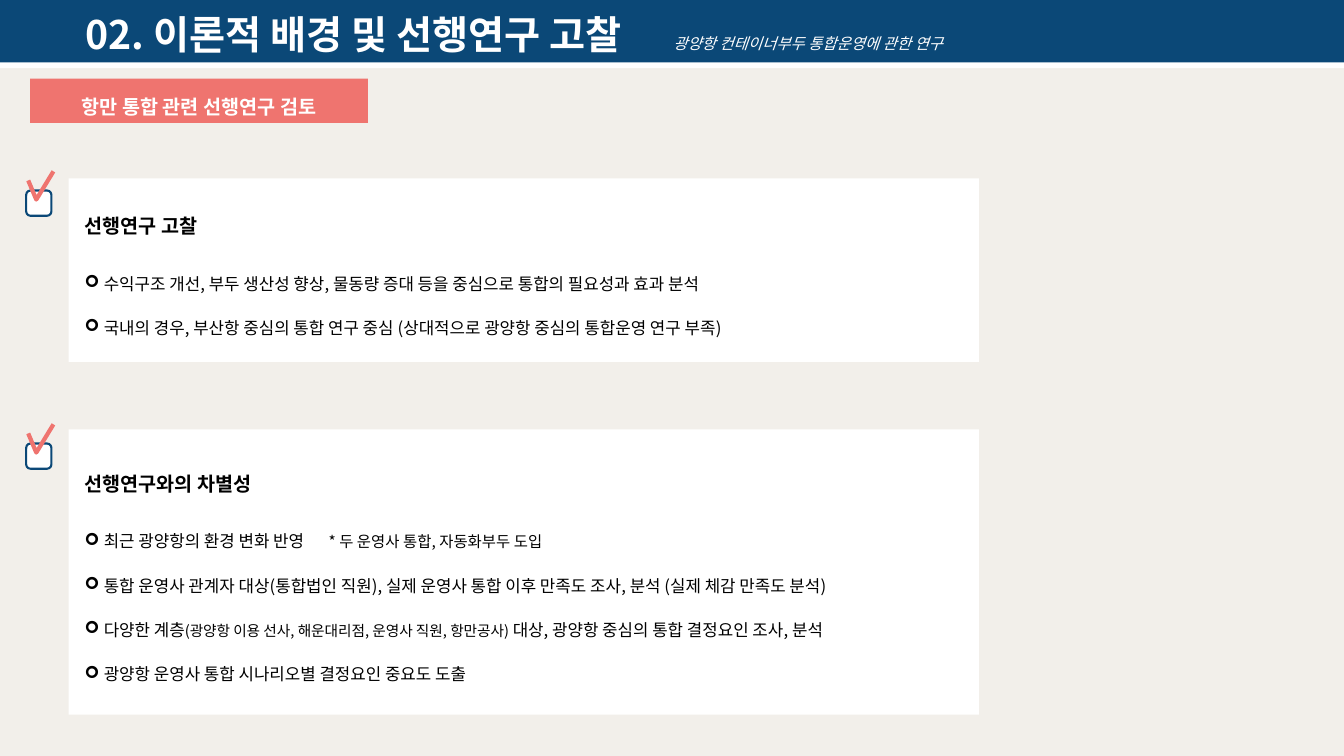
from lxml.etree import SubElement
from pptx import Presentation
from pptx.dml.color import RGBColor
from pptx.enum.shapes import MSO_SHAPE
from pptx.enum.text import MSO_ANCHOR, PP_ALIGN
from pptx.oxml.ns import qn
from pptx.util import Inches, Pt

FONT = "Noto Sans CJK KR"
NAVY, CORAL, WHITE, BLACK, CREAM = "0B4877", "EF746F", "FFFFFF", "000000", "F2EFEA"

REVIEW_POINTS = [
    [("수익구조 개선, 부두 생산성 향상, 물동량 증대 등을 중심으로 통합의 필요성과 효과 분석", 12)],
    [("국내의 경우, 부산항 중심의 통합 연구 중심 (상대적으로 광양항 중심의 통합운영 연구 부족)", 12)],
]
DIFFERENCE_POINTS = [
    [("최근 광양항의 환경 변화 반영\t", 12), ("* 두 운영사 통합, 자동화부두 도입", 11)],
    [("통합 운영사 관계자 대상(통합법인 직원), 실제 운영사 통합 이후 만족도 조사, 분석 "
      "(실제 체감 만족도 분석)", 12)],
    [("다양한 계층", 12),
     ("(광양항 이용 선사, 해운대리점, 운영사 직원, 항만공사)", 10.5),
     (" 대상, 광양항 중심의 통합 결정요인 조사, 분석", 12)],
    [("광양항 운영사 통합 시나리오별 결정요인 중요도 도출", 12)],
]


def rgb(color):
    return RGBColor.from_string(color)


def set_font(font, size, color, bold=False):
    font.name, font.size, font.bold = FONT, Pt(size), bold
    font.color.rgb = rgb(color)


def set_korean_font(paragraph):
    for properties in paragraph._p.iter(qn("a:defRPr"), qn("a:rPr")):
        SubElement(properties, qn("a:ea"), typeface=FONT)


def add_tab_stop(paragraph, position):
    tabs = SubElement(paragraph._p.get_or_add_pPr(), qn("a:tabLst"))
    SubElement(tabs, qn("a:tab"), pos=str(Inches(position)), algn="l")


def add_block(slide, left, top, width, height, fill, kind=MSO_SHAPE.RECTANGLE):
    block = slide.shapes.add_shape(
        kind, Inches(left), Inches(top), Inches(width), Inches(height))
    block.shadow.inherit = False
    block.fill.solid()
    block.fill.fore_color.rgb = rgb(fill)
    block.line.fill.background()
    return block


def add_header(slide):
    band = add_block(slide, 0, 0, 13.33, 0.62, NAVY)
    effects = band._element.spPr.find(qn("a:effectLst"))
    shadow = SubElement(effects, qn("a:outerShdw"), dist=str(Pt(4)),
                        dir="5400000", algn="t", rotWithShape="0")
    SubElement(shadow, qn("a:srgbClr"), val=WHITE)

    title = slide.shapes.add_textbox(Inches(0.75), Inches(0.05), Inches(9.38), Inches(0.57))
    title.text_frame.word_wrap = True
    paragraph = title.text_frame.paragraphs[0]
    add_tab_stop(paragraph, 5.83)
    heading = paragraph.add_run()
    heading.text = "02. 이론적 배경 및 선행연구 고찰\t"
    set_font(heading.font, 28, WHITE, True)
    subtitle = paragraph.add_run()
    subtitle.text = "광양항 컨테이너부두 통합운영에 관한 연구"
    set_font(subtitle.font, 11, WHITE)
    subtitle.font.italic = True
    set_korean_font(paragraph)


def add_section_label(slide):
    label = add_block(slide, 0.3, 0.78, 3.35, 0.44, CORAL)
    label.text_frame.vertical_anchor = MSO_ANCHOR.MIDDLE
    paragraph = label.text_frame.paragraphs[0]
    paragraph.text = "항만 통합 관련 선행연구 검토"
    paragraph.alignment = PP_ALIGN.CENTER
    paragraph.line_spacing = 1.5
    set_font(paragraph.font, 14, WHITE, True)
    set_korean_font(paragraph)


def add_checkbox(slide, top):
    square = add_block(slide, 0.26, top, 0.25, 0.25, WHITE, MSO_SHAPE.ROUNDED_RECTANGLE)
    square.adjustments[0] = 0.17
    square.line.color.rgb = rgb(NAVY)
    square.line.width = Pt(1.5)

    builder = slide.shapes.build_freeform(Inches(0.28), Inches(top - 0.1))
    builder.add_line_segments(
        [(Inches(0.36), Inches(top + 0.09)), (Inches(0.53), Inches(top - 0.19))], close=False)
    tick = builder.convert_to_shape()
    tick.shadow.inherit = False
    tick.fill.background()
    tick.line.color.rgb = rgb(CORAL)
    tick.line.width = Pt(3)


def add_point(frame, parts, space_before):
    paragraph = frame.add_paragraph()
    paragraph.alignment = PP_ALIGN.LEFT
    paragraph.line_spacing = 1.5
    paragraph.space_before = Pt(space_before)
    properties = paragraph._p.get_or_add_pPr()
    properties.set("marL", str(Inches(0.19)))
    properties.set("indent", str(-Inches(0.19)))
    SubElement(properties, qn("a:buFont"), typeface="Wingdings")
    SubElement(properties, qn("a:buChar"), char="➢")
    if "\t" in parts[0][0]:
        add_tab_stop(paragraph, 2.42)
    for text, size in parts:
        run = paragraph.add_run()
        run.text = text
        if len(parts) > 1:
            run.font.size = Pt(size)
    set_font(paragraph.font, parts[0][1], BLACK)
    set_korean_font(paragraph)


def add_panel(slide, top, height, heading, points):
    frame = add_block(slide, 0.68, top, 9.03, height, WHITE).text_frame
    frame.word_wrap = True
    frame.vertical_anchor = MSO_ANCHOR.MIDDLE
    frame.margin_left = Inches(0.16)
    paragraph = frame.paragraphs[0]
    paragraph.text = heading
    paragraph.alignment = PP_ALIGN.LEFT
    paragraph.line_spacing = 1.5
    set_font(paragraph.font, 14, BLACK, True)
    set_korean_font(paragraph)
    for index, parts in enumerate(points):
        add_point(frame, parts, 10 if index else 18.5)


def main():
    presentation = Presentation()
    presentation.slide_width, presentation.slide_height = Inches(13.33), Inches(7.5)
    slide = presentation.slides.add_slide(presentation.slide_layouts[6])
    slide.background.fill.solid()
    slide.background.fill.fore_color.rgb = rgb(CREAM)
    add_header(slide)
    add_section_label(slide)
    add_checkbox(slide, 1.89)
    add_panel(slide, 1.77, 1.82, "선행연구 고찰", REVIEW_POINTS)
    add_checkbox(slide, 4.4)
    add_panel(slide, 4.26, 2.83, "선행연구와의 차별성", DIFFERENCE_POINTS)
    presentation.save("out.pptx")


if __name__ == "__main__":
    main()
